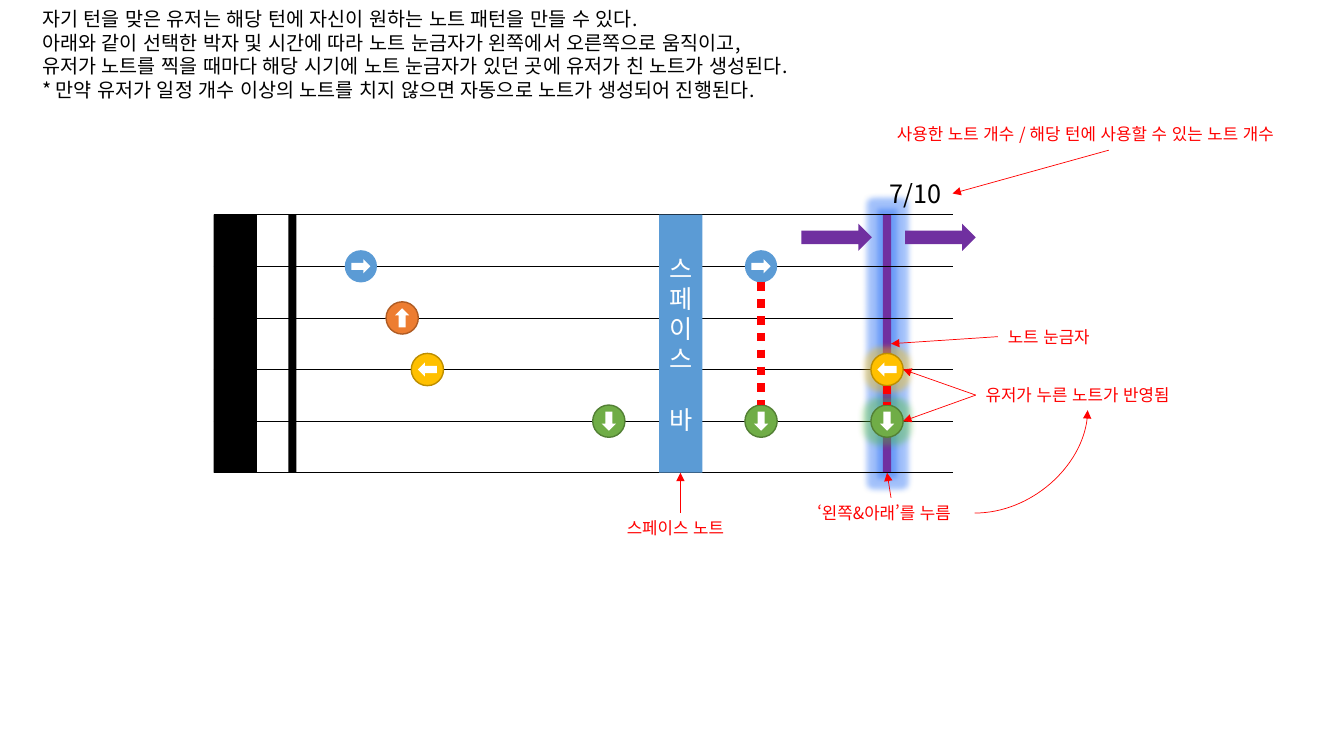
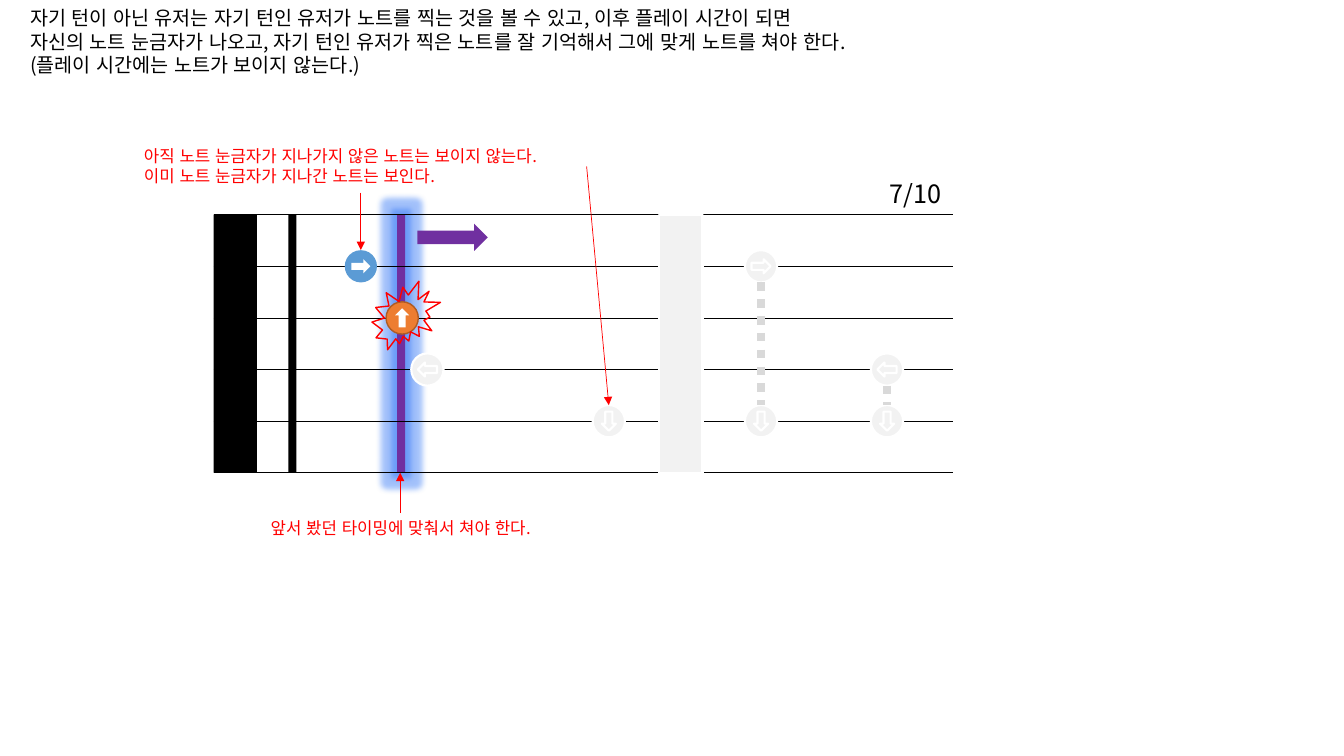
import lxml.etree
import pptx
import pptx.dml.color
import pptx.enum.dml
import pptx.enum.lang
import pptx.enum.shapes
import pptx.enum.text
import pptx.oxml.ns
import pptx.util

RGBColor = pptx.dml.color.RGBColor
SHAPE = pptx.enum.shapes.MSO_SHAPE
CONNECTOR = pptx.enum.shapes.MSO_CONNECTOR
ALIGN = pptx.enum.text.PP_ALIGN
KOREAN = pptx.enum.lang.MSO_LANGUAGE_ID.KOREAN
Inches = pptx.util.Inches
Pt = pptx.util.Pt
qn = pptx.oxml.ns.qn

FONT = "Noto Sans CJK KR"
BLACK = RGBColor(0x00, 0x00, 0x00)
WHITE = RGBColor(0xFF, 0xFF, 0xFF)
RED = RGBColor(0xFF, 0x00, 0x00)
PURPLE = RGBColor(0x70, 0x30, 0xA0)
BLUE = RGBColor(0x5B, 0x9B, 0xD5)
ORANGE = RGBColor(0xED, 0x7D, 0x31)
DARK_ORANGE = RGBColor(0xAF, 0x5C, 0x24)
GOLD = RGBColor(0xFF, 0xC0, 0x00)
DARK_GOLD = RGBColor(0xBD, 0x8E, 0x00)
GREEN = RGBColor(0x70, 0xAD, 0x47)
DARK_GREEN = RGBColor(0x53, 0x80, 0x35)
GHOST = RGBColor(0xF2, 0xF2, 0xF2)
GHOST_LINK = RGBColor(0xD9, 0xD9, 0xD9)
GLOW_BLUE = RGBColor(0x1A, 0x66, 0xF5)
GLOW_GREEN = RGBColor(0x4F, 0xC0, 0x30)

# Staff grid: six lines, equally spaced
STAFF_LEFT, STAFF_RIGHT = 2.12, 9.45
STAFF_TOP, STAFF_HEIGHT, STAFF_GAPS = 2.13, 2.56, 5
STAFF_BOTTOM = STAFF_TOP + STAFF_HEIGHT
BAR_WIDTH, THIN_WIDTH = 0.43, 0.08
NOTE_SIZE = 0.32

# Direction: rotation, fill, outline
NOTE_STYLES = {
    "right": (0, BLUE, None),
    "up": (270, ORANGE, DARK_ORANGE),
    "left": (180, GOLD, DARK_GOLD),
    "down": (90, GREEN, DARK_GREEN),
}
# Centre, staff line, direction
NOTES = [
    (3.58, 1, "right"), (3.99, 2, "up"), (4.24, 3, "left"), (6.04, 4, "down"),
    (7.55, 1, "right"), (7.55, 4, "down"), (8.8, 3, "left"), (8.8, 4, "down"),
]
# Centre, first and last staff line of notes struck together
LINKS = [(7.55, 1, 4), (8.8, 3, 4)]


def staff_y(line):
    return STAFF_TOP + line * STAFF_HEIGHT / STAFF_GAPS


def add_shape(slide, kind, left, top, width, height, fill=None, outline=None, weight=1):
    shape = slide.shapes.add_shape(
        kind, Inches(left), Inches(top), Inches(width), Inches(height))
    shape.shadow.inherit = False
    if fill is None:
        shape.fill.background()
    else:
        shape.fill.solid()
        shape.fill.fore_color.rgb = fill
    if outline is None:
        shape.line.fill.background()
    else:
        shape.line.color.rgb = outline
        shape.line.width = Pt(weight)
    return shape


def add_glow(shape, color, radius):
    effects = shape._element.spPr.find(qn("a:effectLst"))
    glow = lxml.etree.SubElement(effects, qn("a:glow"), rad=str(Pt(radius)))
    tint = lxml.etree.SubElement(glow, qn("a:srgbClr"), val=str(color))
    lxml.etree.SubElement(tint, qn("a:alpha"), val="40000")


def write_lines(text_frame, lines, size, color, align=ALIGN.LEFT):
    text_frame.text = "\n".join(lines)
    for paragraph in text_frame.paragraphs:
        paragraph.alignment = align
        font = paragraph.font
        font.size = Pt(size)
        font.color.rgb = color
        font.name = FONT
        properties = paragraph._p.pPr.find(qn("a:defRPr"))
        lxml.etree.SubElement(properties, qn("a:ea"), typeface=FONT)
        for run in paragraph.runs:
            run.font.language_id = KOREAN


def add_text(slide, left, top, width, height, lines, size=12, color=RED, align=ALIGN.LEFT):
    box = slide.shapes.add_textbox(
        Inches(left), Inches(top), Inches(width), Inches(height))
    box.text_frame.word_wrap = True
    write_lines(box.text_frame, lines, size, color, align)


def add_line(slide, start, end, color, weight=0.5, kind=CONNECTOR.STRAIGHT):
    line = slide.shapes.add_connector(
        kind, *(Inches(length) for length in (*start, *end)))
    line.line.color.rgb = color
    line.line.width = Pt(weight)
    lxml.etree.SubElement(line._element.spPr, qn("a:effectLst"))
    return line


def add_pointer(slide, start, end, kind=CONNECTOR.STRAIGHT):
    pointer = add_line(slide, start, end, RED, kind=kind)
    outline = pointer._element.spPr.find(qn("a:ln"))
    lxml.etree.SubElement(outline, qn("a:tailEnd"), type="triangle")
    if kind == CONNECTOR.CURVE:
        # A quarter bend: leaves sideways, arrives upright
        pointer._element.spPr.find(qn("a:prstGeom")).set("prst", "curvedConnector2")


def add_note(slide, center, line, direction, faded, glow):
    rotation, fill, outline = NOTE_STYLES[direction]
    arrow_fill, arrow_outline, weight = WHITE, None, 1
    if faded:
        fill, outline, arrow_fill, arrow_outline, weight = GHOST, WHITE, GHOST, WHITE, 1.5
    middle = staff_y(line)
    disc = add_shape(slide, SHAPE.OVAL, center - NOTE_SIZE / 2, middle - NOTE_SIZE / 2,
                     NOTE_SIZE, NOTE_SIZE, fill, outline, weight)
    if glow:
        add_glow(disc, *glow)
    arrow = add_shape(slide, SHAPE.RIGHT_ARROW, center - 0.095, middle - 0.07,
                      0.19, 0.14, arrow_fill, arrow_outline, weight)
    arrow.rotation = rotation


def add_space_bar(slide, faded):
    fill, outline = (GHOST, WHITE) if faded else (BLUE, None)
    bar = add_shape(slide, SHAPE.RECTANGLE, 6.54, STAFF_TOP, BAR_WIDTH, STAFF_HEIGHT,
                    fill, outline, 1.5)
    if faded:
        return
    frame = bar.text_frame
    frame.margin_left = frame.margin_right = 0
    frame.vertical_anchor = pptx.enum.text.MSO_ANCHOR.MIDDLE
    write_lines(frame, "스페이스바", 18, WHITE, ALIGN.CENTER)
    frame.paragraphs[-1].space_before = Pt(21.7)


def add_staff(slide, ruler_left, first_faded, glows):
    """Draw the ruler, staff and notes; notes from first_faded on are pale."""
    ruler = add_shape(slide, SHAPE.RECTANGLE, ruler_left, STAFF_TOP,
                      THIN_WIDTH, STAFF_HEIGHT, PURPLE)
    add_glow(ruler, GLOW_BLUE, 8)
    for line in range(STAFF_GAPS + 1):
        add_line(slide, (STAFF_LEFT, staff_y(line)), (STAFF_RIGHT, staff_y(line)), BLACK)
    for left, width in ((STAFF_LEFT, BAR_WIDTH), (2.86, THIN_WIDTH)):
        add_shape(slide, SHAPE.RECTANGLE, left, STAFF_TOP, width, STAFF_HEIGHT, BLACK)
    faded = first_faded < len(NOTES)
    add_space_bar(slide, faded)
    for index, note in enumerate(NOTES):
        add_note(slide, *note, index >= first_faded, glows.get(index))
    for center, first, last in LINKS:
        link = add_line(slide, (center, staff_y(first) + NOTE_SIZE / 2),
                        (center, staff_y(last) - NOTE_SIZE / 2),
                        GHOST_LINK if faded else RED, 6)
        link.line.dash_style = pptx.enum.dml.MSO_LINE.ROUND_DOT
    add_text(slide, 8.73, 1.72, 0.8, 0.4, ["7/10"], 18, BLACK)


def add_motion_arrow(slide, left):
    add_shape(slide, SHAPE.RIGHT_ARROW, left, 2.22, 0.7, 0.27, PURPLE)


def build_recording_slide(slide):
    add_staff(slide, 8.76, len(NOTES), {6: (GOLD, 8), 7: (GLOW_GREEN, 10)})
    add_text(slide, 0.32, 0.02, 8.4, 1.04, [
        "자기 턴을 맞은 유저는 해당 턴에 자신이 원하는 노트 패턴을 만들 수 있다.",
        "아래와 같이 선택한 박자 및 시간에 따라 노트 눈금자가 왼쪽에서 오른쪽으로 움직이고,",
        "유저가 노트를 찍을 때마다 해당 시기에 노트 눈금자가 있던 곳에 유저가 친 노트가 생성된다.",
        "* 만약 유저가 일정 개수 이상의 노트를 치지 않으면 자동으로 노트가 생성되어 진행된다.",
    ], 14, BLACK)
    for left in (7.95, 8.98):
        add_motion_arrow(slide, left)
    # Callouts
    for left, top, width, text in (
        (8.01, 4.94, 1.6, "‘왼쪽&아래’를 누름"),
        (8.8, 1.18, 4.4, "사용한 노트 개수 / 해당 턴에 사용할 수 있는 노트 개수"),
        (9.9, 3.19, 1.1, "노트 눈금자"),
        (9.68, 3.77, 2.23, "유저가 누른 노트가 반영됨"),
        (6.12, 5.09, 1.27, "스페이스 노트"),
    ):
        add_text(slide, left, top, width, 0.3, [text])
    for start, end in (
        ((8.84, 4.94), (8.8, STAFF_BOTTOM)),
        ((11, 1.49), (STAFF_RIGHT, 1.92)),
        ((9.9, 3.34), (8.84, 3.41)),
        ((9.68, 3.92), (8.96, staff_y(4))),
        ((9.68, 3.92), (8.96, staff_y(3))),
        ((6.75, 5.09), (6.75, STAFF_BOTTOM)),
    ):
        add_pointer(slide, start, end)
    add_pointer(slide, (9.67, 5.09), (10.79, 4.07), CONNECTOR.CURVE)


def build_playing_slide(slide):
    add_staff(slide, 3.94, 2, {})
    add_text(slide, 0.2, 0.01, 9.37, 0.81, [
        "자기 턴이 아닌 유저는 자기 턴인 유저가 노트를 찍는 것을 볼 수 있고, 이후 플레이 시간이 되면",
        "자신의 노트 눈금자가 나오고, 자기 턴인 유저가 찍은 노트를 잘 기억해서 그에 맞게 노트를 쳐야 한다.",
        "(플레이 시간에는 노트가 보이지 않는다.)",
    ], 14, BLACK)
    add_motion_arrow(slide, 4.14)
    # Callouts
    add_text(slide, 1.33, 1.4, 4.49, 0.5, [
        "아직 노트 눈금자가 지나가지 않은 노트는 보이지 않는다.",
        "이미 노트 눈금자가 지나간 노트는 보인다.",
    ])
    add_text(slide, 2.33, 5.09, 3.29, 0.3,
             ["앞서 봤던 타이밍에 맞춰서 쳐야 한다."], align=ALIGN.CENTER)
    for start, end in (
        ((3.58, 1.91), (3.58, 2.48)),
        ((3.97, 5.09), (3.97, STAFF_BOTTOM)),
        ((5.82, 1.65), (6.04, 4.02)),
    ):
        add_pointer(slide, start, end)
    # Burst around the note being struck
    add_shape(slide, SHAPE.EXPLOSION2, 3.69, 2.79, 0.68, 0.68, outline=RED)


def main():
    presentation = pptx.Presentation()
    presentation.slide_width = Pt(960)
    presentation.slide_height = Pt(540)
    blank_layout = presentation.slide_layouts[6]
    for build_slide in (build_recording_slide, build_playing_slide):
        build_slide(presentation.slides.add_slide(blank_layout))
    presentation.save("out.pptx")


if __name__ == "__main__":
    main()
